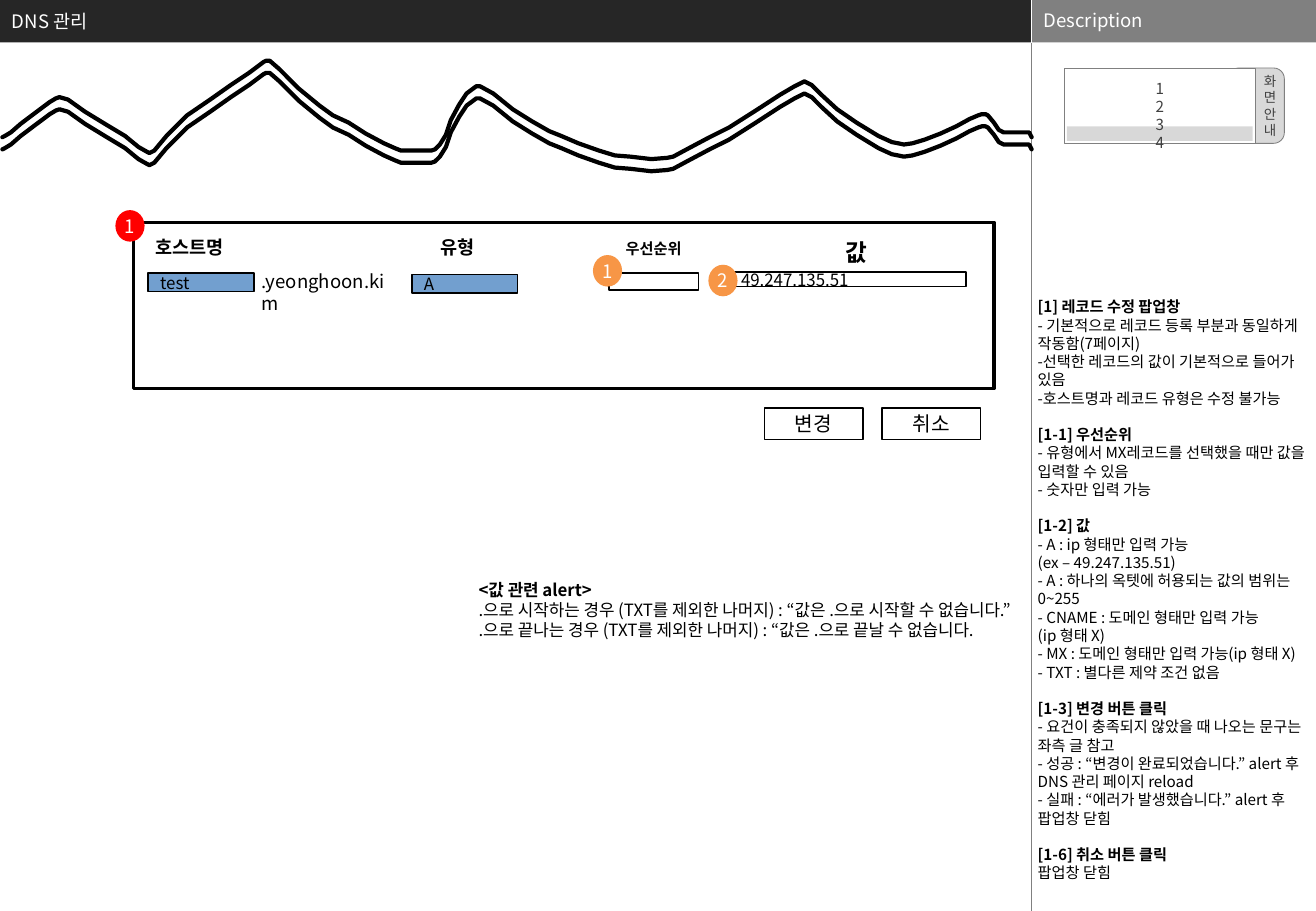
from lxml import etree
from pptx import Presentation
from pptx import util as u
from pptx.dml.color import RGBColor
from pptx.enum import shapes, text
from pptx.oxml.ns import qn

FONT = "Noto Sans CJK KR"
BLACK = RGBColor(0x00, 0x00, 0x00)
WHITE = RGBColor(0xFF, 0xFF, 0xFF)
CHARCOAL = RGBColor(0x26, 0x26, 0x26)
DARK = RGBColor(0x40, 0x40, 0x40)
GRAY = RGBColor(0x80, 0x80, 0x80)
LIGHT = RGBColor(0xD9, 0xD9, 0xD9)
BLUE = RGBColor(0x72, 0x9F, 0xCF)
RED = RGBColor(0xFF, 0x00, 0x00)
ORANGE = RGBColor(0xF7, 0x96, 0x46)

RECT = shapes.MSO_SHAPE.RECTANGLE
OVAL = shapes.MSO_SHAPE.OVAL
ROUNDED = shapes.MSO_SHAPE.ROUNDED_RECTANGLE
LEFT, CENTER, RIGHT = text.PP_ALIGN.LEFT, text.PP_ALIGN.CENTER, text.PP_ALIGN.RIGHT
TOP, MIDDLE = text.MSO_ANCHOR.TOP, text.MSO_ANCHOR.MIDDLE


def write(shape, lines, size=10, color=BLACK, bold=False, headings=(), align=LEFT,
          anchor=MIDDLE, insets=(0.1, 0.05, 0.1, 0.05), wrap=True, before=0, gap=0):
    """Fill a shape with lines; headings are bold and, after the first line, follow a gap."""
    frame = shape.text_frame
    frame.word_wrap = wrap
    frame.vertical_anchor = anchor
    frame.margin_left, frame.margin_top, frame.margin_right, frame.margin_bottom = map(u.Inches, insets)
    for index, line in enumerate(lines):
        paragraph = frame.add_paragraph() if index else frame.paragraphs[0]
        paragraph.alignment = align
        paragraph.space_before = u.Pt(gap if index and index in headings else before)
        run = paragraph.add_run()
        run.text = line
        run.font.name, run.font.size = FONT, u.Pt(size)
        run.font.bold = bold or index in headings
        run.font.color.rgb = color
        etree.SubElement(run.font._element, qn("a:ea"), typeface=FONT)


class Wireframe:
    def __init__(self, slide):
        self.slide = slide

    def style(self, shape, fill, line, width):
        shape.shadow.inherit = False
        if fill is None:
            shape.fill.background()
        else:
            shape.fill.solid()
            shape.fill.fore_color.rgb = fill
        if line is None:
            shape.line.fill.background()
        else:
            shape.line.color.rgb = line
            shape.line.width = u.Pt(width)

    def box(self, place, fill=None, line=None, width=1, kind=RECT):
        shape = self.slide.shapes.add_shape(kind, *map(u.Inches, place))
        self.style(shape, fill, line, width)
        return shape

    def label(self, place, lines, **form):
        write(self.slide.shapes.add_textbox(*map(u.Inches, place)), lines, **form)

    def field(self, place, caption=None, fill=None, **form):
        shape = self.box(place, fill, BLACK)
        if caption:
            write(shape, [caption], **form)

    def badge(self, left, top, number, fill):
        shape = self.box((left, top, 0.24, 0.26), fill, kind=OVAL)
        write(shape, [number], size=11, color=WHITE, align=CENTER, insets=(0, 0, 0, 0), wrap=False)

    def rule(self, x, top, bottom, color):
        line = self.slide.shapes.add_connector(
            shapes.MSO_CONNECTOR.STRAIGHT, *map(u.Inches, (x, top, x, bottom)))
        line.line.color.rgb = color
        line.line.width = u.Pt(0.25)
        etree.SubElement(line._element.spPr, qn("a:effectLst"))

    def wave(self, points, drop):
        """Draw a tear line; points and drop are in hundredths of an inch."""
        (x, y), *rest = [(x, y + drop) for x, y in points]
        builder = self.slide.shapes.build_freeform(x, y, scale=u.Inches(0.01))
        builder.add_line_segments(rest, close=False)
        shape = builder.convert_to_shape()
        self.style(shape, None, BLACK, 2.5)
        outline = shape.line._get_or_add_ln()
        outline.set("cap", "rnd")
        etree.SubElement(outline, qn("a:round"))


TEAR = [
    (2, 113), (4, 112), (9, 109), (17, 102), (29, 93), (41, 84), (46, 81), (49, 80), (56, 82),
    (70, 92), (88, 103), (103, 112), (114, 121), (121, 125), (123, 126), (127, 124), (137, 112),
    (154, 95), (173, 82), (190, 70), (205, 60), (217, 51), (219, 50), (222, 50), (230, 57),
    (246, 73), (263, 87), (274, 95), (287, 101), (301, 110), (316, 118), (325, 122), (330, 124),
    (355, 124), (358, 123), (362, 119), (367, 111), (371, 99), (378, 86), (384, 77), (388, 74),
    (392, 71), (395, 71), (406, 77), (422, 90), (438, 100), (452, 108), (462, 112), (476, 118),
    (493, 124), (506, 128), (519, 129), (536, 131), (549, 130), (554, 129), (567, 122), (584, 113),
    (600, 105), (622, 91), (642, 78), (654, 71), (662, 67), (668, 70), (676, 78), (689, 90),
    (705, 101), (723, 112), (734, 117), (739, 118), (744, 119), (751, 118), (761, 115), (774, 110),
    (787, 104), (798, 98), (805, 95), (808, 94), (811, 94), (813, 95), (818, 101), (822, 107),
    (824, 108), (826, 109), (847, 109), (848, 111), (849, 113)]

DESCRIPTION = [
    "[1] 레코드 수정 팝업창",
    "- 기본적으로 레코드 등록 부분과 동일하게 작동함(7페이지)",
    "-선택한 레코드의 값이 기본적으로 들어가 있음",
    "-호스트명과 레코드 유형은 수정 불가능",
    "[1-1] 우선순위",
    "- 유형에서 MX레코드를 선택했을 때만 값을 입력할 수 있음",
    "- 숫자만 입력 가능",
    "[1-2] 값",
    "- A : ip 형태만 입력 가능",
    "(ex – 49.247.135.51)",
    "- A : 하나의 옥텟에 허용되는 값의 범위는 0~255",
    "- CNAME : 도메인 형태만 입력 가능",
    "(ip 형태 X)",
    "- MX : 도메인 형태만 입력 가능(ip 형태 X)",
    "- TXT : 별다른 제약 조건 없음",
    "[1-3] 변경 버튼 클릭",
    "- 요건이 충족되지 않았을 때 나오는 문구는 좌측 글 참고",
    "- 성공 : “변경이 완료되었습니다.” alert 후 DNS 관리 페이지 reload",
    "- 실패 : “에러가 발생했습니다.” alert 후 팝업창 닫힘",
    "[1-6] 취소 버튼 클릭",
    "팝업창 닫힘"]

ALERTS = [
    "<값 관련 alert>",
    ".으로 시작하는 경우 (TXT를 제외한 나머지) : “값은 .으로 시작할 수 없습니다.”",
    ".으로 끝나는 경우 (TXT를 제외한 나머지) : “값은 .으로 끝날 수 없습니다."]

presentation = Presentation()
presentation.slide_width, presentation.slide_height = u.Inches(10.83), u.Inches(7.5)
slide = presentation.slides.add_slide(presentation.slide_layouts[6])
page = Wireframe(slide)

# Header bars and side column
page.box((0, 0, 8.49, 0.35), CHARCOAL)
page.box((8.49, 0, 2.34, 0.35), GRAY)
page.rule(8.49, 0, 0.35, WHITE)
page.rule(8.49, 0.35, 7.5, GRAY)
page.label((8.49, 0, 2.34, 0.33), ["Description"], size=11, color=WHITE, before=2.2)
page.label((0, 0, 8.25, 0.35), ["DNS 관리"], size=11, color=WHITE, before=2.2)
section_starts = [index for index, line in enumerate(DESCRIPTION) if line.startswith("[")]
page.label((8.5, 2.45, 2.34, 5.05), DESCRIPTION, size=9, headings=section_starts,
           anchor=TOP, insets=(0.04, 0, 0.04, 0), gap=10.8)

# Tear lines
for drop in (10, 0):
    page.wave(TEAR, drop)

# Record popup
page.box((1.1, 1.83, 7.08, 1.37), WHITE, BLACK, 2)
page.label((2.05, 2.17, 1.31, 0.47), [".yeonghoon.kim"], size=11, anchor=TOP)
for place, caption, size in [((1.18, 1.89, 0.87, 0.28), "호스트명", 11),
                             ((3.53, 1.89, 0.63, 0.28), "유형", 11),
                             ((5.05, 1.92, 0.75, 0.25), "우선순위", 9),
                             ((6.86, 1.91, 0.62, 0.33), "값", 14)]:
    page.label(place, [caption], size=size, bold=True, anchor=TOP)
page.field((1.22, 2.25, 0.87, 0.15), "test", BLUE)
page.field((3.39, 2.26, 0.87, 0.15), "A", BLUE)
page.field((5.01, 2.25, 0.74, 0.14))
page.field((6, 2.24, 1.95, 0.12), "49.247.135.51")
for left, caption in ((6.29, "변경"), (7.26, "취소")):
    page.field((left, 3.36, 0.81, 0.26), caption, size=12, align=CENTER)

# Screen guide
tab = page.box((10.11, 0.56, 0.46, 0.62), LIGHT, GRAY, 0.5, ROUNDED)
tab.adjustments[0] = 0.19
write(tab, "화면안내", size=8, color=DARK, align=RIGHT, insets=(0, 0, 0.04, 0))
guide = page.box((8.76, 0.56, 1.57, 0.62), WHITE, GRAY, 0.5)
write(guide, "1234", size=9, color=DARK, align=CENTER, anchor=TOP, insets=(0.04, 0.09, 0.04, 0))
highlight = page.box((8.78, 1.04, 1.53, 0.12), DARK)
fill_color = highlight._element.spPr.find(qn("a:solidFill"))[0]
etree.SubElement(fill_color, qn("a:alpha"), val="20000")

# Callout numbers
page.badge(0.95, 1.73, "1", RED)
page.badge(4.88, 2.1, "1", ORANGE)
page.badge(5.83, 2.18, "2", ORANGE)

# Alert messages
page.label((3.84, 4.72, 4.66, 0.7), ALERTS, headings=[0], anchor=TOP)

presentation.save("out.pptx")
